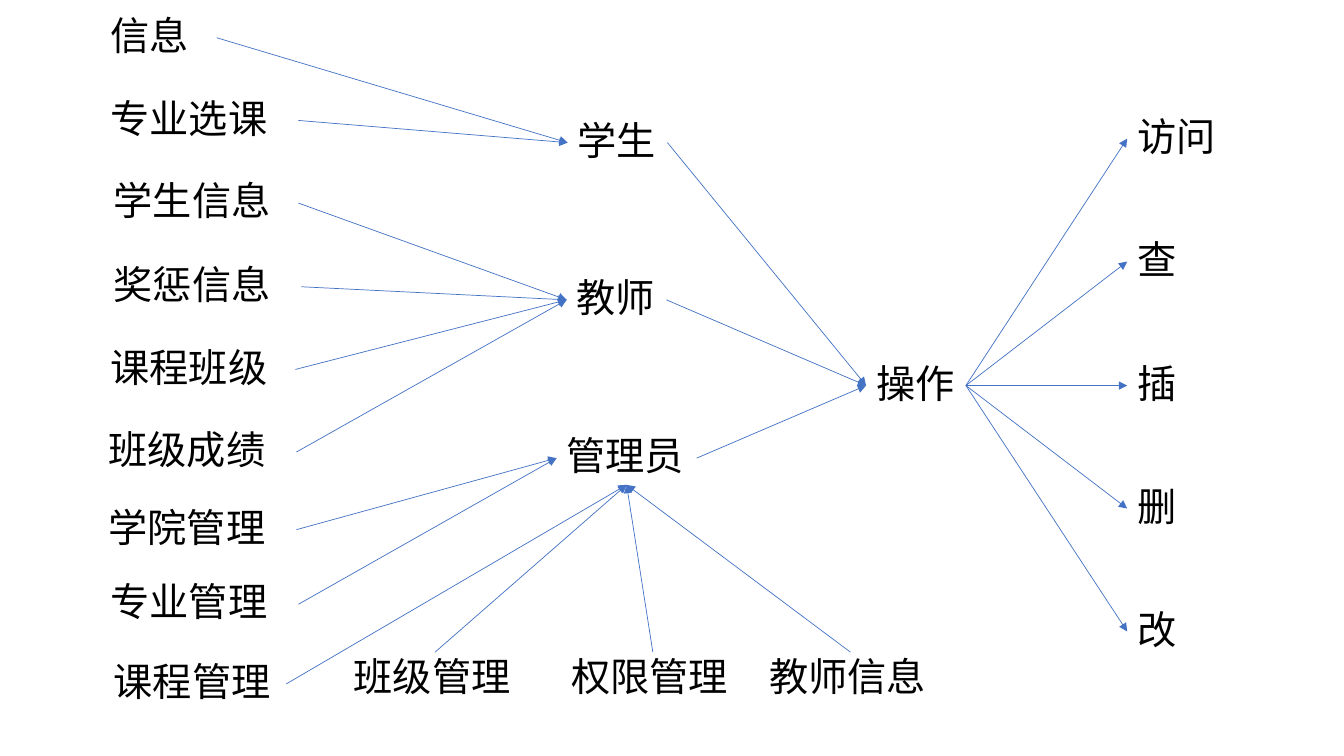
"""Build the slide that maps records to roles, and roles to operations."""
import pptx
import pptx.util
import pptx.dml.color
import pptx.enum.shapes
import pptx.enum.text
import pptx.oxml
import pptx.oxml.ns

PX = 9144
WIDE, HIGH = 1333, 750
BOX = 53
TOP, LEFT, BASE, RIGHT = range(4)

THEME = {
    "font": "Noto Sans CJK SC",
    "size": 28,
    "ink": "000000",
    "line": "4472C4",
    "weight": 0.5,
}

HUB = ("操作", 859, 356, 99)
ROLES = [
    ("学生", 563, 115, 99),
    ("教师", 562, 271, 99),
    ("管理员", 552, 428, 139),
]
ACTS = ["访问", "查", "插", "删", "改"]
ACT_X, ACT_Y, ACT_W, ACT_END = 1118, 111, 115, 600

READS = [
    ("信息", 100, 115, "学生"),
    ("专业选课", 100, 196, "学生"),
    ("学生信息", 103, 193, "教师"),
    ("奖惩信息", 103, 196, "教师"),
    ("课程班级", 100, 193, "教师"),
    ("班级成绩", 98, 196, "教师"),
]
READ_Y, READ_END = 11, 422
ADMIN = [
    ("学院管理", 98, 499, 196, RIGHT, LEFT),
    ("专业管理", 100, 573, 196, RIGHT, LEFT),
    ("课程管理", 103, 652, 181, RIGHT, BASE),
    ("班级管理", 341, 647, 181, TOP, BASE),
    ("权限管理", 557, 647, 181, TOP, BASE),
    ("教师信息", 753, 647, 181, TOP, BASE),
]


def spread(first, last, count):
    """Return evenly spaced places from first to last."""
    return [round(first + (last - first) * i / (count - 1)) for i in range(count)]


def label(slide, text, x, y, wide, *, size=THEME["size"], ink=THEME["ink"]):
    """Add one text label and return its box."""
    box = slide.shapes.add_textbox(x * PX, y * PX, wide * PX, BOX * PX)
    frame = box.text_frame
    frame.word_wrap = True
    frame.vertical_anchor = pptx.enum.text.MSO_ANCHOR.MIDDLE
    para = frame.paragraphs[0]
    para.line_spacing = 0.9
    para.space_before = pptx.util.Pt(10)
    run = para.add_run()
    run.text = text
    font = run.font
    font.name = THEME["font"]
    font.size = pptx.util.Pt(size)
    font.color.rgb = pptx.dml.color.RGBColor.from_string(ink)
    east = pptx.oxml.parse_xml(
        f'<a:ea {pptx.oxml.ns.nsdecls("a")} typeface="{THEME["font"]}"/>')
    font._element.find(pptx.oxml.ns.qn("a:latin")).addnext(east)
    return box


def arrow(slide, start, end, out=RIGHT, into=LEFT):
    """Join two labels with an arrow."""
    link = slide.shapes.add_connector(
        pptx.enum.shapes.MSO_CONNECTOR.STRAIGHT, 0, 0, 0, 0)
    link.begin_connect(start, out)
    link.end_connect(end, into)
    link.line.width = pptx.util.Pt(THEME["weight"])
    link.line.color.rgb = pptx.dml.color.RGBColor.from_string(THEME["line"])
    space = pptx.oxml.ns.nsdecls("a")
    link.line._get_or_add_ln().append(
        pptx.oxml.parse_xml(f'<a:tailEnd {space} type="triangle"/>'))
    link._element.spPr.append(pptx.oxml.parse_xml(f"<a:effectLst {space}/>"))


def main():
    """Lay out the labels, join them and save the deck."""
    deck = pptx.Presentation()
    deck.slide_width, deck.slide_height = WIDE * PX, HIGH * PX
    slide = deck.slides.add_slide(deck.slide_layouts[6])

    hub = label(slide, *HUB)
    roles = {role[0]: label(slide, *role) for role in ROLES}
    for role in roles.values():
        arrow(slide, role, hub)
    for text, y in zip(ACTS, spread(ACT_Y, ACT_END, len(ACTS))):
        arrow(slide, hub, label(slide, text, ACT_X, y, ACT_W))
    rows = spread(READ_Y, READ_END, len(READS))
    for (text, x, wide, role), y in zip(READS, rows):
        arrow(slide, label(slide, text, x, y, wide), roles[role])
    for text, x, y, wide, out, into in ADMIN:
        arrow(slide, label(slide, text, x, y, wide), roles["管理员"], out, into)

    deck.save("out.pptx")


if __name__ == "__main__":
    main()
